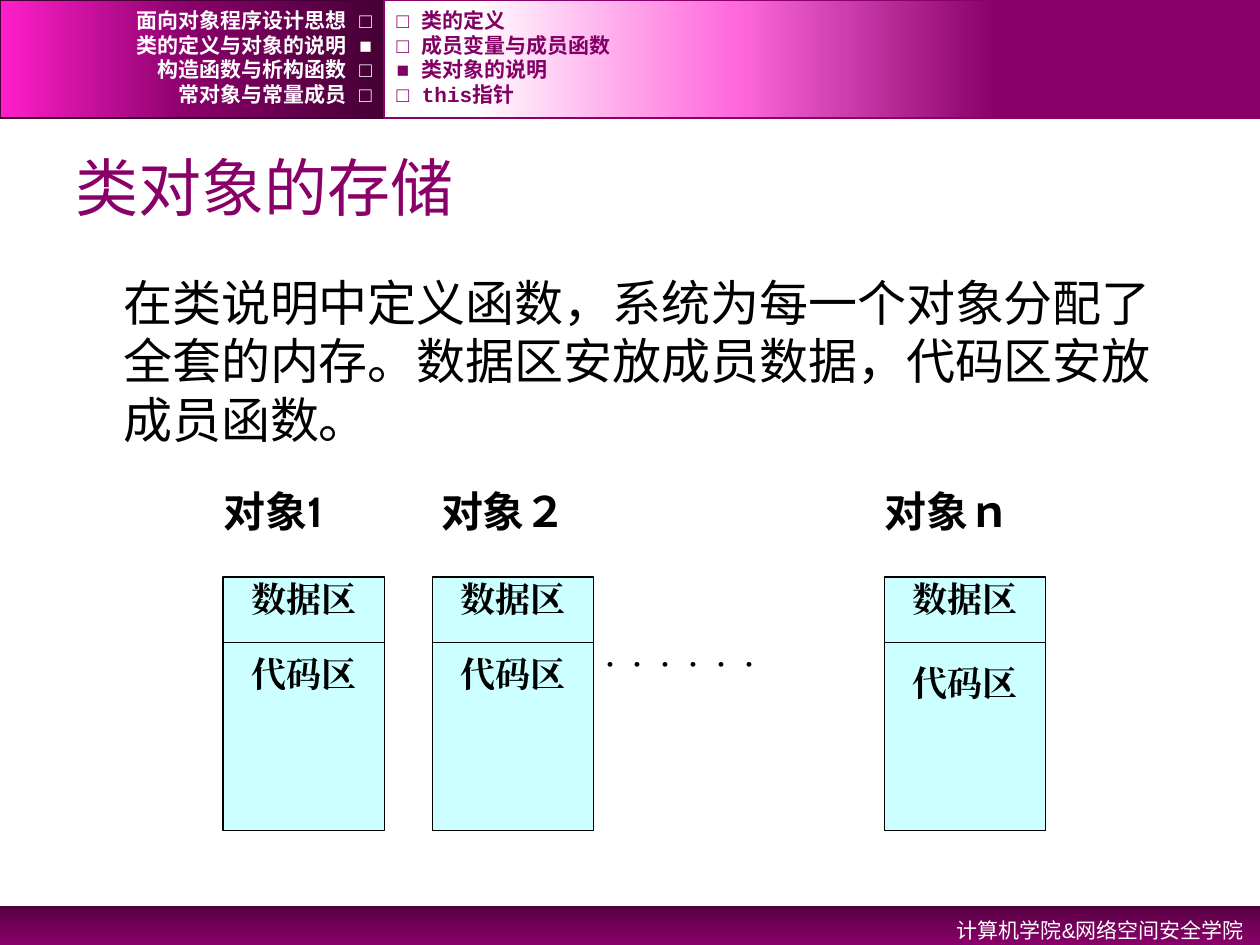
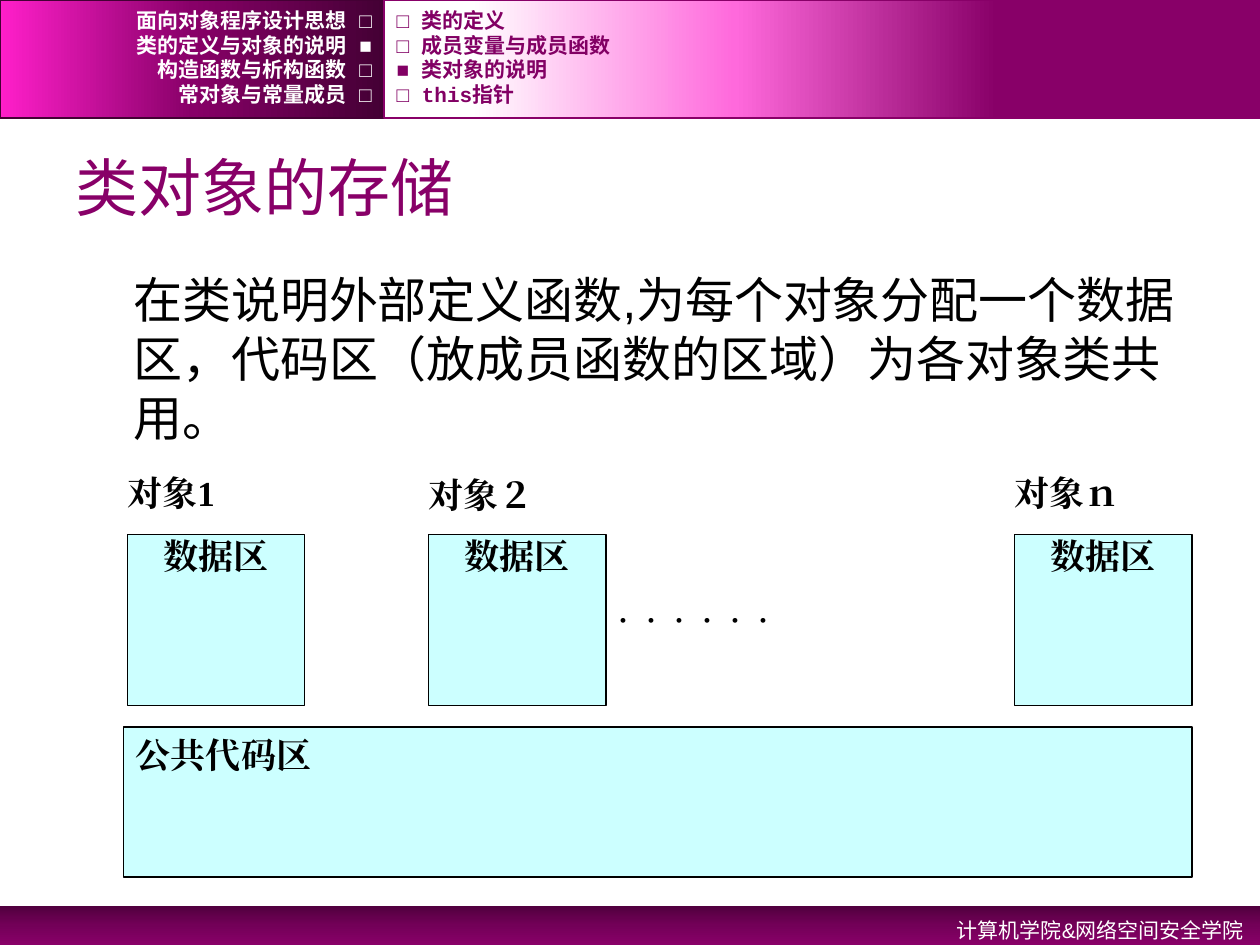
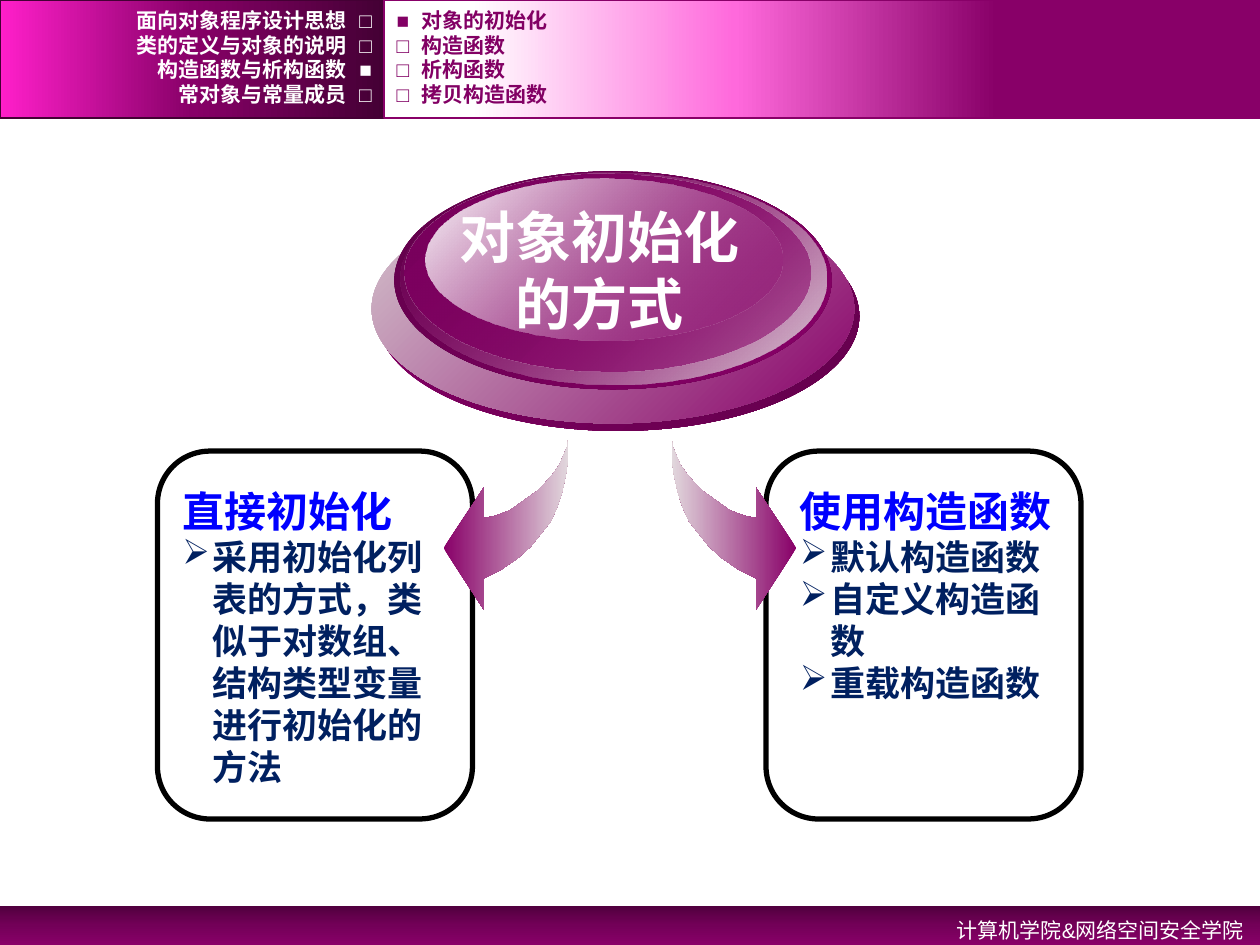
from lxml import etree
from pptx import Presentation
from pptx import util as u
from pptx.dml.color import RGBColor
from pptx.enum import shapes, text
from pptx.oxml.ns import qn

W, H = 10, 7.5
BAND_H, SPLIT, FOOT_Y = 0.94, 3.05, 7.19
PURPLE, DARK, BLACK, WHITE = "880068", "440034", "000000", "FFFFFF"
CYAN, MENU, BLUE, NAVY = "CCFFFF", "820064", "0000FF", "002060"
SERIF, SANS, CJK = "Times New Roman", "Arial", "Noto Sans CJK SC"
ALIGN = {"l": text.PP_ALIGN.LEFT, "c": text.PP_ALIGN.CENTER,
         "r": text.PP_ALIGN.RIGHT, "j": text.PP_ALIGN.JUSTIFY}
ANCHOR = {"top": text.MSO_ANCHOR.TOP, "middle": text.MSO_ANCHOR.MIDDLE}

FOOTER = "计算机学院&网络空间安全学院"
CHAPTERS = ["面向对象程序设计思想", "类的定义与对象的说明", "构造函数与析构函数", "常对象与常量成员"]
CLASS_TOPICS = ["类的定义", "成员变量与成员函数", "类对象的说明", "this指针"]
INIT_TOPICS = ["对象的初始化", "构造函数", "析构函数", "拷贝构造函数"]
STORAGE = "类对象的存储"
DATA, CODE, SHARED_CODE = "数据区", "代码区", "公共代码区"
DOTS = "．．．．．．　"
INSIDE = "在类说明中定义函数，系统为每一个对象分配了全套的内存。数据区安放成员数据，代码区安放成员函数。"
OUTSIDE = "在类说明外部定义函数,为每个对象分配一个数据区，代码区（放成员函数的区域）为各对象类共用。"

# name, box left, label left, space above the code area (points)
FULL_OBJECTS = [("对象1", 1.77, 1.77, 19), ("对象２", 3.43, 3.5, 19), ("对象ｎ", 7.02, 7.02, 24)]
# name, box left, label top
DATA_OBJECTS = [("对象1", 1.01, 3.74), ("对象２", 3.4, 3.76), ("对象ｎ", 8.05, 3.74)]

WAYS_HEAD = ["对象初始化", "的方式"]
# card left, text left, text width, heading, points
WAYS = [(6.08, 6.25, 2.27, "使用构造函数", ["默认构造函数", "自定义构造函数", "重载构造函数"]),
        (1.25, 1.35, 2.23, "直接初始化",
         ["采用初始化列表的方式，类似于对数组、结构类型变量进行初始化的方法"])]
# left arrow, in hundredths of an inch; the right one mirrors it
ARROW = [(451, 348), (451, 363), (449, 377), (446, 391), (442, 403), (437, 414), (429, 424),
         (421, 434), (411, 443), (398, 452), (384, 459), (384, 484), (352, 435), (384, 387),
         (384, 411), (391, 410), (397, 408), (405, 405), (412, 400), (419, 395), (426, 390),
         (433, 383), (439, 376), (444, 369), (447, 362), (450, 355)]
MIRROR = 984
# box, then gradient stops: position, colour and, if not opaque, alpha
BUTTON = [((2.99, 1.6, 3.83, 1.82), [(0, PURPLE), (100, "63004C")]),
          ((2.95, 1.54, 3.83, 1.82), [(0, "D5C6CE"), (100, PURPLE)]),
          ((3.13, 1.36, 3.47, 1.73), [(0, "61004A"), (100, PURPLE)]),
          ((3.18, 1.37, 3.38, 1.68), [(0, PURPLE, 0), (100, "DFD4DA")]),
          ((3.21, 1.38, 3.22, 1.57), [(0, "7B005E"), (100, PURPLE, 48)]),
          ((3.38, 1.42, 2.83, 1.28), [(0, WHITE), (100, PURPLE, 38)])]


def rgb(color):
    return RGBColor.from_string(color)


def inches(box):
    return [u.Inches(v) for v in box]


def write(sp, paragraphs, size=20, font=SERIF, color=BLACK, bold=False, align="l",
          anchor="top", inset=True, before=0, spacing=None, left=0, bullet=None):
    """Fill a shape with text; a paragraph is a string or (string, overriding formats)."""
    tf = sp.text_frame
    tf.word_wrap, tf.auto_size = True, text.MSO_AUTO_SIZE.NONE
    tf.vertical_anchor = ANCHOR[anchor]
    if not inset:
        tf.margin_left = tf.margin_top = tf.margin_right = tf.margin_bottom = 0
    base = dict(size=size, color=color, before=before, left=left, bullet=bullet)
    for i, item in enumerate(paragraphs):
        words, own = (item, {}) if isinstance(item, str) else item
        f = {**base, **own}
        p = tf.add_paragraph() if i else tf.paragraphs[0]
        p.alignment, p.space_before = ALIGN[align], u.Pt(f["before"])
        if spacing:
            p.line_spacing = spacing
        pPr = p._p.get_or_add_pPr()
        margin = u.Inches(f["left"])
        pPr.set("marL", str(margin))
        pPr.set("indent", str(-margin if f["bullet"] else 0))
        if f["bullet"]:
            etree.SubElement(pPr, qn("a:buChar"), char=f["bullet"])
        r = p.add_run()
        r.text = words
        r.font.size, r.font.bold, r.font.name = u.Pt(f["size"]), bold, font
        r.font.color.rgb = rgb(f["color"])
        rPr = r._r.get_or_add_rPr()
        rPr.set("lang", "zh-CN")
        etree.SubElement(rPr, qn("a:ea"), typeface=font)


def label(s, box, paragraphs, **fmt):
    sp = s.shapes.add_textbox(*inches(box))
    write(sp, paragraphs, **fmt)
    return sp


def paint(sp, fill=None, line=None, width=0.75, angle=0):
    """Fill is a colour, a list of gradient stops (angle clockwise) or None."""
    sp.shadow.inherit = False
    if fill is None:
        sp.fill.background()
    elif isinstance(fill, str):
        sp.fill.solid()
        sp.fill.fore_color.rgb = rgb(fill)
    else:
        sp.fill.gradient()
        grad = sp._element.spPr.find(qn("a:gradFill"))
        grad.clear()
        stops = etree.SubElement(grad, qn("a:gsLst"))
        for at, color, *alpha in fill:
            gs = etree.SubElement(stops, qn("a:gs"), pos=str(at * 1000))
            clr = etree.SubElement(gs, qn("a:srgbClr"), val=color)
            if alpha:
                etree.SubElement(clr, qn("a:alpha"), val=str(alpha[0] * 1000))
        etree.SubElement(grad, qn("a:lin"), ang=str(angle * 60000), scaled="0")
    if line:
        sp.line.color.rgb, sp.line.width = rgb(line), u.Pt(width)
    else:
        sp.line.fill.background()


def shape(s, kind, box, **style):
    sp = s.shapes.add_shape(kind, *inches(box))
    paint(sp, **style)
    return sp


def rect(s, box, **style):
    return shape(s, shapes.MSO_SHAPE.RECTANGLE, box, **style)


def divider(s, x, y, length):
    c = s.shapes.add_connector(shapes.MSO_CONNECTOR.STRAIGHT, *inches((x, y, x + length, y)))
    c.line.color.rgb, c.line.width = rgb(BLACK), u.Pt(0.75)
    etree.SubElement(c._element.spPr, qn("a:effectLst"))


def move_bands_to_master(prs, s):
    """Draw bands and footer with a slide's tools, then hang them on the master."""
    bands = [
        rect(s, (0, FOOT_Y, W, H - FOOT_Y), angle=90,
             fill=[(0, "51003E"), (50, "730058"), (100, PURPLE)]),
        rect(s, (0, 0, SPLIT, BAND_H), angle=180, line=DARK, width=1,
             fill=[(0, DARK), (50, PURPLE), (100, "FF1FCA")]),
        rect(s, (SPLIT, 0, W - SPLIT, BAND_H), angle=180, line=PURPLE, width=1,
             fill=[(30, PURPLE), (60, "FF69DC"), (90, WHITE)]),
        label(s, (6.42, FOOT_Y, 3.55, 0.32), [FOOTER], size=12, font=SANS, color=WHITE,
              align="r", spacing=1.2)]
    for sp in bands:
        prs.slide_master.shapes._spTree.append(sp._element)


def menu(s, chapter, topics, topic):
    fmt = dict(size=12, font="Courier New", bold=True, anchor="middle")
    for i, (left, right) in enumerate(zip(CHAPTERS, topics)):
        y = 0.06 + i * 0.195
        label(s, (0, y, SPLIT, 0.2), [f"{left} {'■' if i == chapter else '□'}"],
              color=WHITE, align="r", **fmt)
        label(s, (SPLIT, y, 6.02, 0.2), [f"{'■' if i == topic else '□'} {right}"],
              color=MENU, **fmt)


def heading(s, words):
    t = s.shapes.title
    t.left, t.top, t.width, t.height = inches((0.5, 1.09, 9, 0.78))
    write(t, [words], size=36, font=SANS, color=PURPLE, anchor="middle")


def body(s, box, words):
    label(s, box, [words], size=28, font=SANS, before=5.6, left=0.38)


def full_objects(s):
    heading(s, STORAGE)
    body(s, (0.5, 2.11, 9, 4.92), INSIDE)
    top, width = 4.58, 1.28
    for name, x, name_x, gap in FULL_OBJECTS:
        sp = rect(s, (x, top, width, 2.01), fill=CYAN, line=BLACK)
        write(sp, [DATA, (CODE, dict(before=gap))], bold=True, align="c", inset=False)
        divider(s, x, 5.1, width)
        label(s, (name_x, 3.85, width, 0.5), [name], size=24, font="Cabin", bold=True,
              align="j", inset=False)
    label(s, (4.81, 5.07, 2.22, 0.5), [DOTS], size=16, bold=True, align="j", inset=False)
    menu(s, 1, CLASS_TOPICS, 2)


def shared_code(s):
    heading(s, STORAGE)
    body(s, (0.58, 2.09, 8.92, 2.26), OUTSIDE)
    for name, x, name_y in DATA_OBJECTS:
        sp = rect(s, (x, 4.24, 1.41, 1.36), fill=CYAN, line=BLACK)
        write(sp, [DATA], bold=True, align="c", inset=False)
        label(s, (x, name_y, 1.69, 0.34), [name], bold=True, align="j", inset=False)
    label(s, (4.92, 4.72, 3.06, 0.31), [DOTS], size=16, bold=True, align="j", inset=False)
    sp = rect(s, (0.98, 5.77, 8.48, 1.19), fill=CYAN, line=BLACK)
    write(sp, [SHARED_CODE], bold=True, align="j")
    menu(s, 1, CLASS_TOPICS, 2)


def arrow(s, points, angle):
    fb = s.shapes.build_freeform(*points[0], scale=u.Inches(1) / 100)
    fb.add_line_segments(points[1:], close=True)
    paint(fb.convert_to_shape(), fill=[(0, PURPLE), (100, "E2D8DD")], angle=angle)


def ways_to_initialize(s):
    for x, text_x, width, head, points in WAYS:
        shape(s, shapes.MSO_SHAPE.ROUNDED_RECTANGLE, (x, 3.58, 2.5, 2.92), line=BLACK, width=3)
        item = dict(size=20, color=NAVY, left=0.24, bullet="➢")
        label(s, (text_x, 3.8, width, 2.19), [head] + [(point, item) for point in points],
              size=24, font=CJK, color=BLUE, bold=True)
    arrow(s, ARROW, 0)
    arrow(s, [(MIRROR - x, y) for x, y in ARROW], 180)
    for box, stops in BUTTON:
        shape(s, shapes.MSO_SHAPE.OVAL, box, fill=stops, angle=45)
    label(s, (3.31, 1.56, 2.9, 1.18), WAYS_HEAD, size=32, font=CJK, color=WHITE,
          bold=True, align="c")
    menu(s, 2, INIT_TOPICS, 0)


def main():
    prs = Presentation()
    prs.slide_width, prs.slide_height = u.Inches(W), u.Inches(H)
    title_only, blank = prs.slide_layouts[5], prs.slide_layouts[6]
    for i, (layout, build) in enumerate([(title_only, full_objects), (title_only, shared_code),
                                         (blank, ways_to_initialize)]):
        s = prs.slides.add_slide(layout)
        if i == 0:
            move_bands_to_master(prs, s)
        build(s)
    prs.save("out.pptx")


if __name__ == "__main__":
    main()
